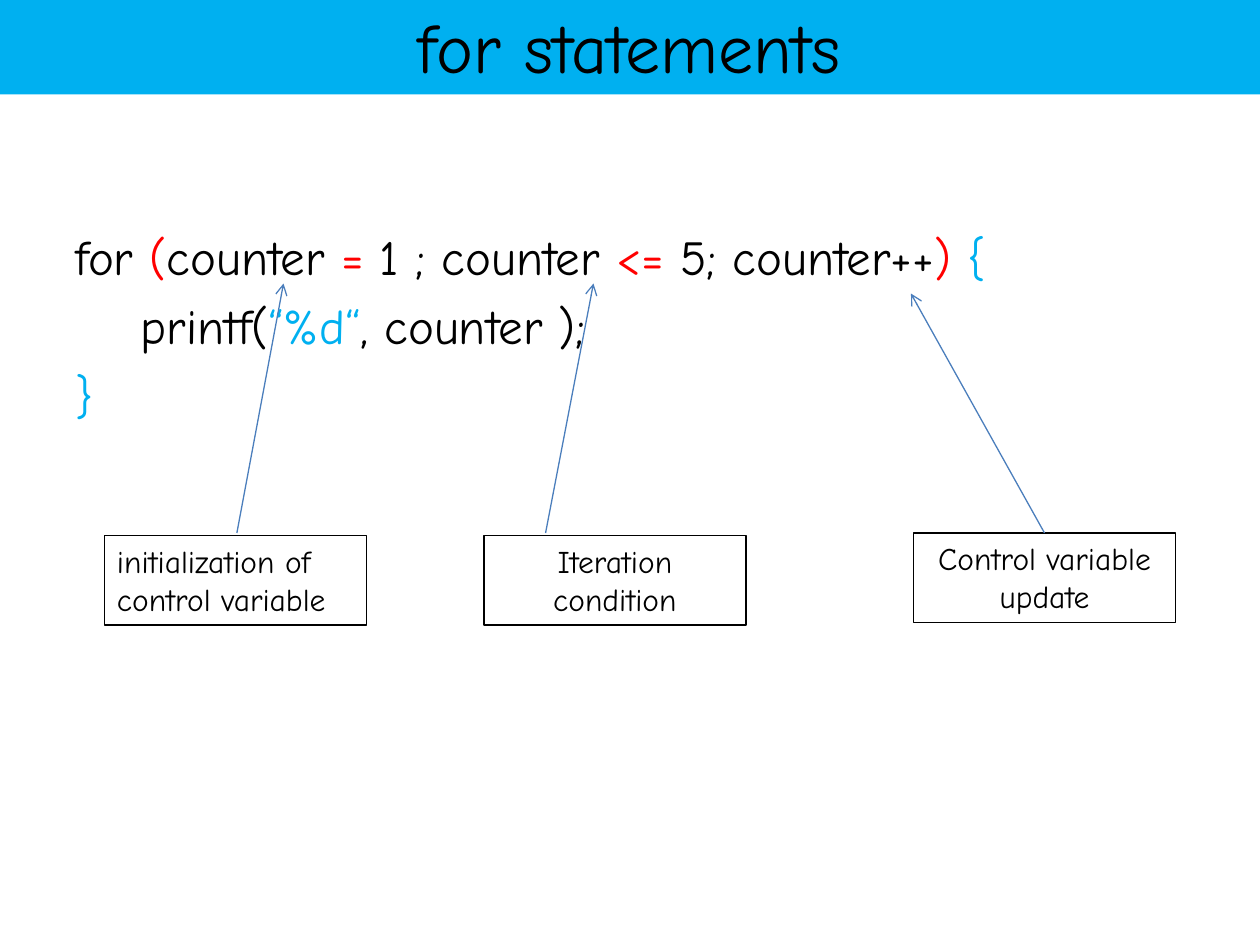
from lxml import etree
from pptx import Presentation
from pptx.dml.color import RGBColor
from pptx.enum.shapes import MSO_CONNECTOR, MSO_SHAPE
from pptx.enum.text import MSO_ANCHOR, PP_ALIGN
from pptx.oxml.ns import qn
from pptx.util import Inches, Pt

FONT = "Comic Neue"
COLORS = {"text": "000000", "band": "00B0F0", "code": "00B0F0",
          "operator": "FF0000", "arrow": "4B7EBC"}

CODE = [
    [("for ", "text"), ("(", "operator"), ("counter ", "text"),
     ("=", "operator"), (" 1 ; counter ", "text"), ("<= ", "operator"),
     ("5; counter++", "text"), (") ", "operator"), ("{", "code")],
    [("    printf(", "text"), ("“%d“", "code"), (", counter );", "text")],
    [("}", "code")],
]

# text, alignment, box left and top, arrow start and tip
CALLOUTS = [
    ("initialization of control variable", PP_ALIGN.LEFT,
     (0.83, 4.25), (1.88, 4.23), (2.25, 2.25)),
    ("Iteration condition", PP_ALIGN.CENTER,
     (3.84, 4.25), (4.33, 4.23), (4.71, 2.25)),
    ("Control variable update", PP_ALIGN.CENTER,
     (7.25, 4.23), (8.29, 4.23), (7.23, 2.33)),
]
CALLOUT_SIZE = (2.08, 0.71)


def rgb(name):
    return RGBColor.from_string(COLORS[name])


def style_run(r, size, color="text"):
    r.font.name = FONT
    r.font.size = Pt(size)
    r.font.color.rgb = rgb(color)


def add_box(s, box, text, size, align, anchor):
    """Add a rectangle with one paragraph; the caller sets fill and line."""
    sp = s.shapes.add_shape(MSO_SHAPE.RECTANGLE, *map(Inches, box))
    sp.shadow.inherit = False
    tf = sp.text_frame
    tf.word_wrap = True
    tf.vertical_anchor = anchor
    tf.text = text
    p = tf.paragraphs[0]
    p.alignment = align
    style_run(p.runs[0], size)
    return sp


def add_title_band(s, box):
    sp = add_box(s, box, "for statements", 40, PP_ALIGN.CENTER,
                 MSO_ANCHOR.MIDDLE)
    sp.fill.solid()
    sp.fill.fore_color.rgb = rgb("band")
    sp.line.fill.background()


def add_code(s, box):
    tf = s.shapes.add_textbox(*map(Inches, box)).text_frame
    tf.word_wrap = True
    for i, parts in enumerate(CODE):
        p = tf.add_paragraph() if i else tf.paragraphs[0]
        p.space_before = Pt(5.6 if i else 0)
        pPr = p._p.get_or_add_pPr()
        pPr.set("marL", str(Inches(0.38)))
        pPr.set("indent", str(-Inches(0.38)))
        for text, color in parts:
            r = p.add_run()
            r.text = text
            style_run(r, 28, color)


def add_arrow(s, start, tip):
    c = s.shapes.add_connector(MSO_CONNECTOR.STRAIGHT,
                               *map(Inches, start + tip))
    c.line.color.rgb = rgb("arrow")
    c.line.width = Pt(0.75)
    etree.SubElement(c.line._get_or_add_ln(), qn("a:tailEnd"), type="arrow")
    etree.SubElement(c._element.spPr, qn("a:effectLst"))


def add_callout(s, text, align, corner, start, tip):
    sp = add_box(s, corner + CALLOUT_SIZE, text, 18, align, MSO_ANCHOR.TOP)
    sp.fill.background()
    sp.line.color.rgb = rgb("text")
    sp.line.width = Pt(0.75)
    add_arrow(s, start, tip)


def main():
    prs = Presentation()
    prs.slide_width, prs.slide_height = Inches(10), Inches(7.5)
    s = prs.slides.add_slide(prs.slide_layouts[6])
    add_code(s, (0.5, 1.75, 9.17, 2.08))
    for callout in CALLOUTS:
        add_callout(s, *callout)
    add_title_band(s, (-0.01, -0.03, 10.01, 0.78))
    prs.save("out.pptx")


if __name__ == "__main__":
    main()
